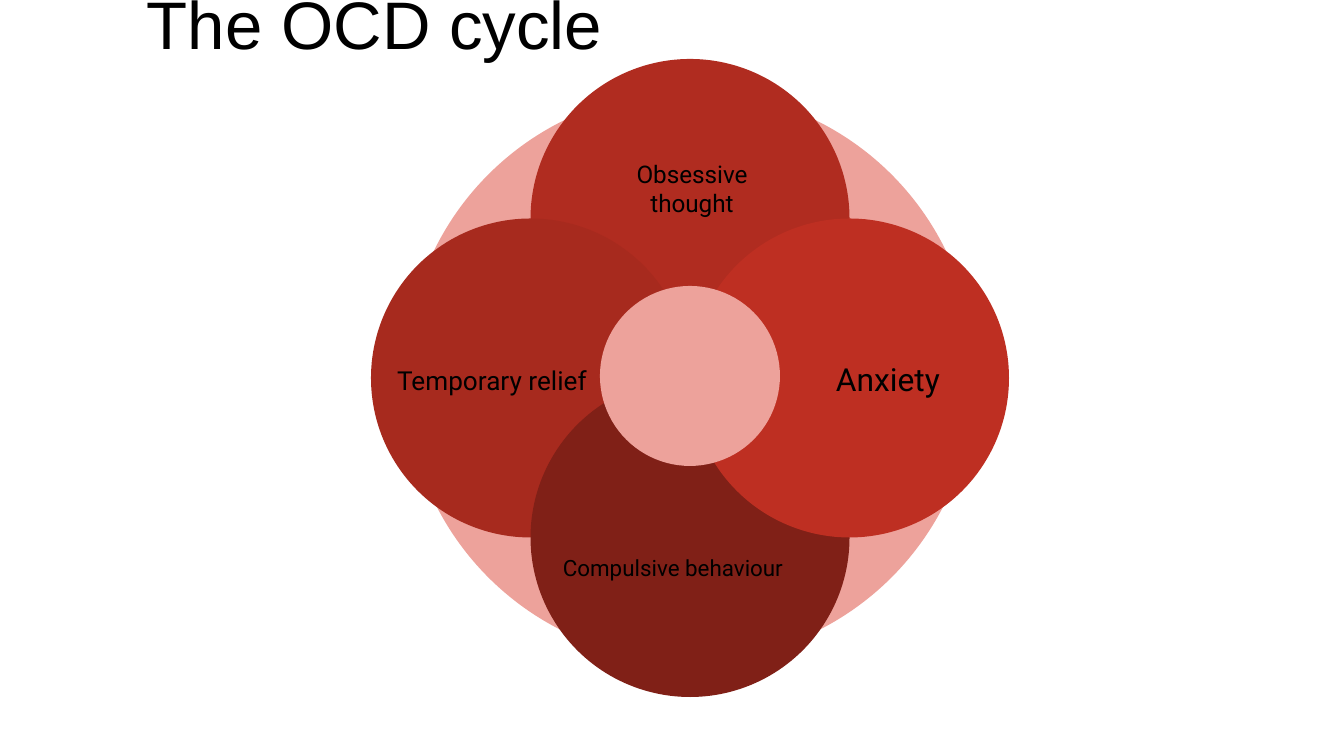
import pptx
import pptx.util
import pptx.dml.color
import pptx.enum.shapes
import pptx.enum.text
import lxml.etree

PIXEL = 914400 / 134.4
COLOURS = {"pink": "EDA29B", "thought": "B02C20", "relief": "A72A1E",
           "behaviour": "802017", "anxiety": "BE2F22", "text": "000000"}
ANCHOR = pptx.enum.text.MSO_ANCHOR
ALIGN = pptx.enum.text.PP_ALIGN


def add_circle(shapes, centre_x, centre_y, diameter, colour):
    """Add a plain filled circle around a centre given in pixels."""
    left, top = centre_x - diameter / 2, centre_y - diameter / 2
    circle = shapes.add_shape(pptx.enum.shapes.MSO_SHAPE.OVAL,
                              *[round(v * PIXEL) for v in (left, top, diameter, diameter)])
    circle.shadow.inherit = False
    circle.fill.solid()
    circle.fill.fore_color.rgb = pptx.dml.color.RGBColor.from_string(COLOURS[colour])
    circle.line.fill.background()


def write_text(box, words, size, font, align, anchor, insets):
    """Write one run into a box and return its paragraph."""
    frame = box.text_frame
    frame.word_wrap = True
    frame.auto_size = pptx.enum.text.MSO_AUTO_SIZE.NONE
    frame.vertical_anchor = anchor
    (frame.margin_left, frame.margin_top,
     frame.margin_right, frame.margin_bottom) = [round(v * PIXEL) for v in insets]
    para = frame.paragraphs[0]
    para.alignment = align
    span = para.add_run()
    span.text = words
    span.font.size = pptx.util.Pt(size)
    span.font.name = font
    span.font.color.rgb = pptx.dml.color.RGBColor.from_string(COLOURS["text"])
    return para


deck = pptx.Presentation()
deck.slide_width = round(1344 * PIXEL)
deck.slide_height = round(756 * PIXEL)
page = deck.slides.add_slide(deck.slide_layouts[5])

# The title sits on the first of two lines, above the bottom of its box.
title = page.shapes.title
title.left, title.top, title.width, title.height = [
    round(v * PIXEL) for v in (134, 31, 1142, 126)]
para = write_text(title, "The OCD cycle", 36, "Arial", ALIGN.LEFT,
                  ANCHOR.BOTTOM, (13, 7, 13, 13))
para.add_line_break()
namespace = "{http://schemas.openxmlformats.org/drawingml/2006/main}"
line_break = para._p.find(namespace + "br")
for parent, tag in ((line_break, "rPr"), (para._p, "endParaRPr")):
    lxml.etree.SubElement(parent, namespace + tag, sz="3600")

CENTRE_X, CENTRE_Y = 690, 378
HUB_Y = 376
REACH = 159.5
PETAL = 319
add_circle(page.shapes, CENTRE_X, HUB_Y, 570, "pink")

# Direction from the centre, colour, words, text size, text box
petals = [
    (0, -1, "thought", "Obsessive thought", 13, (582, 136, 220, 104)),
    (-1, 0, "relief", "Temporary relief ", 14, (382, 328, 220, 104)),
    (0, 1, "behaviour", "Compulsive behaviour", 12, (544, 511, 258, 113)),
    (1, 0, "anxiety", "Anxiety", 17, (778, 327, 220, 104)),
]
for step_x, step_y, colour, words, size, place in petals:
    group = page.shapes.add_group_shape()
    add_circle(group.shapes, CENTRE_X + step_x * REACH,
               CENTRE_Y + step_y * REACH, PETAL, colour)
    box = group.shapes.add_textbox(*[round(v * PIXEL) for v in place])
    write_text(box, words, size, "Roboto", ALIGN.CENTER, ANCHOR.MIDDLE, (13,) * 4)

add_circle(page.shapes, CENTRE_X, HUB_Y, 180, "pink")
deck.save("out.pptx")
